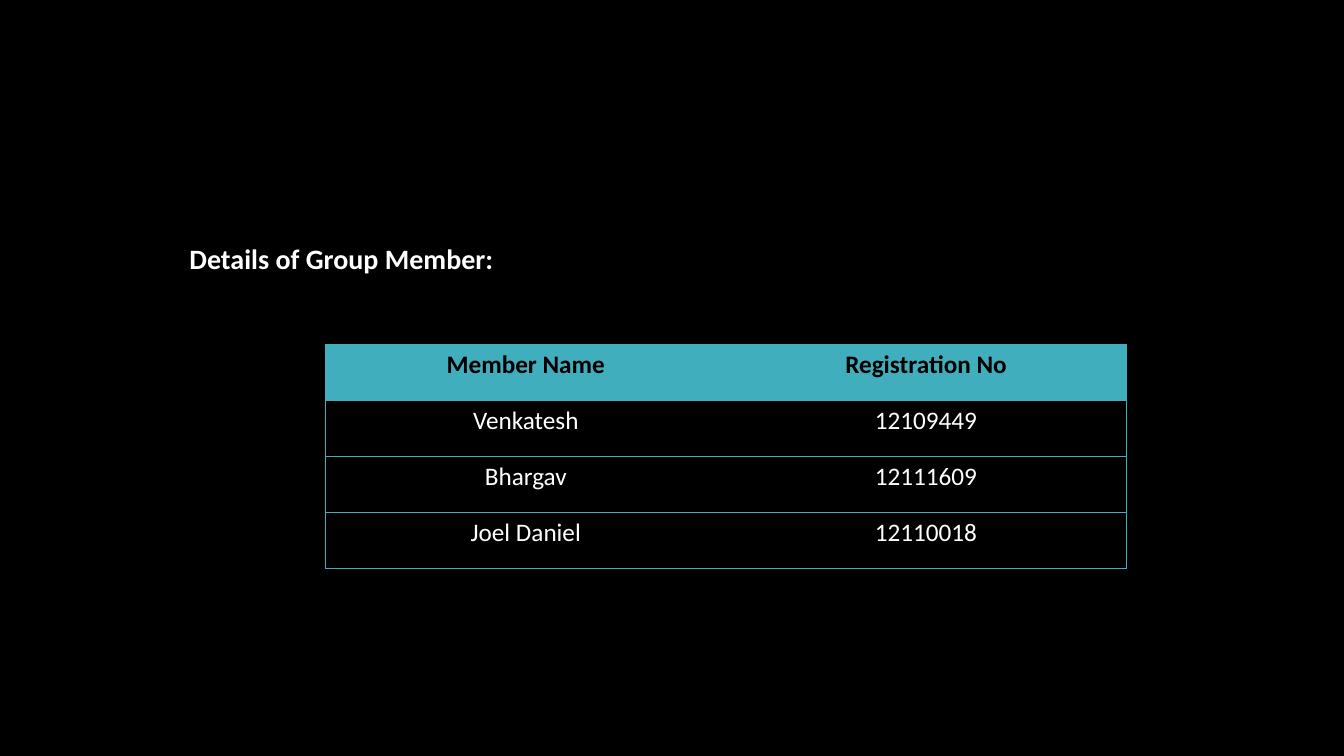
"""Build a slide that lists the group members in a table."""
from dataclasses import dataclass

from lxml.etree import SubElement
from pptx import Presentation
from pptx.dml.color import RGBColor
from pptx.enum.text import PP_ALIGN
from pptx.oxml.ns import qn
from pptx.slide import Slide
from pptx.table import _Cell
from pptx.text.text import _Paragraph
from pptx.util import Inches, Pt

SLIDE_WIDTH = Inches(13.33)
SLIDE_HEIGHT = Inches(7.5)


@dataclass(frozen=True)
class Theme:
    font: str = "Calibri"
    background: str = "000000"
    light: str = "FFFFFF"
    dark: str = "000000"
    accent: str = "41AEBD"
    heading_size: float = 20
    table_size: float = 18
    border_width: float = 0.5


@dataclass(frozen=True)
class Area:
    left: float
    top: float
    width: float
    height: float

    def lengths(self) -> tuple[int, int, int, int]:
        return (
            int(self.left * SLIDE_WIDTH),
            int(self.top * SLIDE_HEIGHT),
            int(self.width * SLIDE_WIDTH),
            int(self.height * SLIDE_HEIGHT),
        )


@dataclass(frozen=True)
class Member:
    name: str
    registration: str


THEME = Theme()
HEADING_AREA = Area(1.78 / 13.33, 2.35 / 7.5, 0.5, 0.44 / 7.5)
TABLE_AREA = Area(3.23 / 13.33, 3.42 / 7.5, 7.94 / 13.33, 2.22 / 7.5)
HEADER = Member("Member Name", "Registration No")
MEMBERS = (
    Member("Venkatesh", "12109449"),
    Member("Bhargav", "12111609"),
    Member("Joel Daniel", "12110018"),
)


def add_run(paragraph: _Paragraph, text: str, size: float, color: str, bold: bool) -> None:
    run = paragraph.add_run()
    run.text = text
    run.font.name = THEME.font
    run.font.size = Pt(size)
    run.font.bold = bold
    run.font.color.rgb = RGBColor.from_string(color)


def add_borders(cell: _Cell, sides: str) -> None:
    properties = cell._tc.get_or_add_tcPr()
    for side in "LRTB":
        width = Pt(THEME.border_width) if side in sides else 0
        line = SubElement(properties, qn(f"a:ln{side}"), w=str(width))
        if side in sides:
            fill = SubElement(line, qn("a:solidFill"))
            SubElement(fill, qn("a:srgbClr"), val=THEME.accent)
        else:
            SubElement(line, qn("a:noFill"))


def fill_cell(cell: _Cell, text: str, is_header: bool, sides: str) -> None:
    add_borders(cell, sides)
    if is_header:
        cell.fill.solid()
        cell.fill.fore_color.rgb = RGBColor.from_string(THEME.accent)
    else:
        cell.fill.background()
    paragraph = cell.text_frame.paragraphs[0]
    paragraph.alignment = PP_ALIGN.CENTER
    color = THEME.dark if is_header else THEME.light
    add_run(paragraph, text, THEME.table_size, color, is_header)


def add_heading(slide: Slide, text: str) -> None:
    text_frame = slide.shapes.add_textbox(*HEADING_AREA.lengths()).text_frame
    text_frame.word_wrap = True
    add_run(text_frame.paragraphs[0], text, THEME.heading_size, THEME.light, True)


def add_member_table(slide: Slide) -> None:
    rows = (HEADER, *MEMBERS)
    table = slide.shapes.add_table(len(rows), 2, *TABLE_AREA.lengths()).table
    for row_index, member in enumerate(rows):
        is_header = row_index == 0
        fill_cell(table.cell(row_index, 0), member.name, is_header, "LTB")
        fill_cell(table.cell(row_index, 1), member.registration, is_header, "RTB")


def main() -> None:
    presentation = Presentation()
    presentation.slide_width = SLIDE_WIDTH
    presentation.slide_height = SLIDE_HEIGHT
    slide = presentation.slides.add_slide(presentation.slide_layouts[6])
    slide.background.fill.solid()
    slide.background.fill.fore_color.rgb = RGBColor.from_string(THEME.background)
    add_heading(slide, "Details of Group Member:")
    add_member_table(slide)
    presentation.save("out.pptx")


if __name__ == "__main__":
    main()
